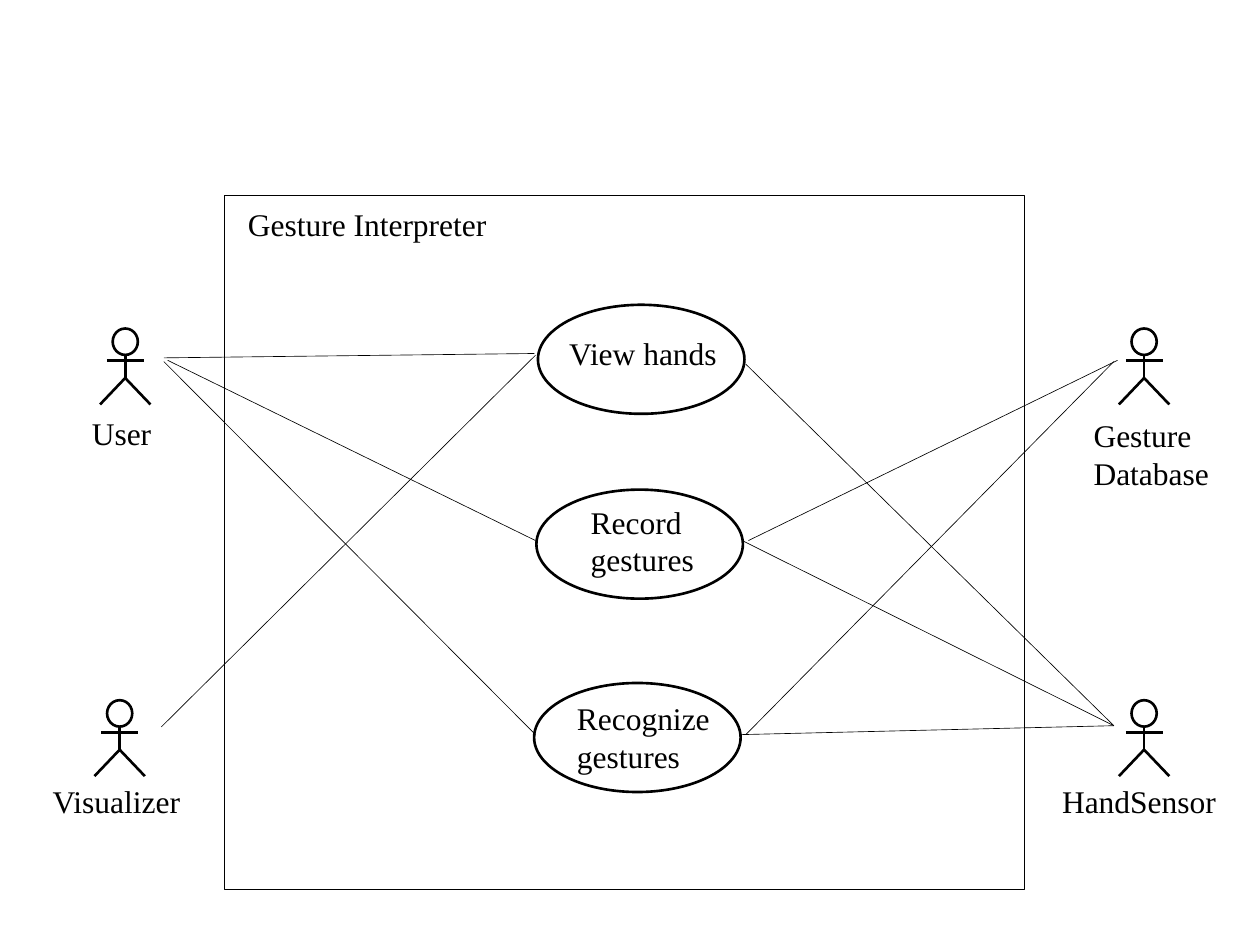
from lxml.etree import SubElement
from pptx import Presentation
from pptx.dml.color import RGBColor
from pptx.enum.shapes import MSO_CONNECTOR as Connector, MSO_SHAPE as Shape
from pptx.oxml.ns import qn
from pptx.util import Pt

BLACK = RGBColor(0x00, 0x00, 0x00)
FONT = "Times New Roman"
THICK, MEDIUM, THIN = 1.5, 0.75, 0.38

# Content: system boundary and its title
SYSTEM = (128.2, 111.6, 457.2, 396.7)
TITLE = ("Gesture Interpreter", 134.6, 113.8, 152.6, 28.8)

# Use cases: label, ellipse position, label position, label height
ELLIPSE_SIZE = (118, 62.3)
LABEL_WIDTH = 120.2
USE_CASES = [
    ("View hands", (307.4, 174.2), (318.2, 187.2), 28.8),
    ("Record gestures", (306.5, 279.8), (330.5, 283.7), 51.1),
    ("Recognize gestures", (305.2, 390.3), (322.6, 396), 51.1),
]

# Actors: label, head centre x, head top, label box
ACTORS = [
    ("User", 71.6, 187.7, (45.4, 233.3, 54.7, 28.8)),
    ("Visualizer", 68.4, 400.1, (23, 443.5, 97.2, 28.8)),
    ("Gesture Database", 653.8, 187.7, (617.8, 234, 87.8, 51.1)),
    ("HandSensor", 653.8, 400.1, (599.8, 443.5, 106.6, 28.8)),
]

# Associations: start and end of each line
ASSOCIATIONS = [
    ((93.6, 204.5), (305.3, 202)),      # User - View hands
    ((95.8, 205.9), (306, 308.9)),      # User - Record gestures
    ((93.6, 206.6), (306, 419.8)),      # User - Recognize gestures
    ((92.2, 415.4), (306, 203)),        # Visualizer - View hands
    ((427.7, 308.9), (638.6, 205.9)),   # Record gestures - Database
    ((426.2, 419.8), (636.5, 206.6)),   # Recognize gestures - Database
    ((426.2, 208.1), (636.5, 414.7)),   # View hands - sensor
    ((424.1, 308.9), (636.5, 414.7)),   # Record gestures - sensor
    ((423.4, 419.8), (636.5, 414.7)),   # Recognize gestures - sensor
]


def set_outline(shape, weight):
    shape.line.color.rgb = BLACK
    shape.line.width = Pt(weight)


def add_outline_shape(shapes, kind, left, top, width, height, weight):
    shape = shapes.add_shape(kind, Pt(left), Pt(top), Pt(width), Pt(height))
    shape.shadow.inherit = False
    shape.fill.background()
    set_outline(shape, weight)


def add_line(shapes, start, end, weight):
    points = [Pt(value) for value in (*start, *end)]
    line = shapes.add_connector(Connector.STRAIGHT, *points)
    set_outline(line, weight)
    SubElement(line._element.spPr, qn("a:effectLst"))


def add_text(shapes, text, left, top, width, height, size=18, color=BLACK):
    box = shapes.add_textbox(Pt(left), Pt(top), Pt(width), Pt(height))
    box.text_frame.word_wrap = True
    run = box.text_frame.paragraphs[0].add_run()
    run.text = text
    run.font.name, run.font.size = FONT, Pt(size)
    run.font.color.rgb = color


def add_actor(shapes, center, top):
    """Stick figure: legs, head, body and arms in one group."""
    figure = shapes.add_group_shape().shapes
    neck, arms, hip, feet = (top + step for step in (14.8, 18.3, 28.3, 43.4))
    builder = figure.build_freeform(Pt(center - 14.4), Pt(feet))
    builder.add_line_segments(
        [(Pt(center), Pt(hip)), (Pt(center + 14.4), Pt(feet))], close=False)
    legs = builder.convert_to_shape()
    legs.shadow.inherit = False
    legs.fill.background()
    set_outline(legs, THICK)
    add_outline_shape(figure, Shape.OVAL, center - 7.2, top, 14.4, 15.1, THICK)
    add_line(figure, (center, neck), (center, hip), THICK)
    add_line(figure, (center - 10.5, arms), (center + 10.5, arms), THICK)


def main():
    presentation = Presentation()
    presentation.slide_width, presentation.slide_height = Pt(720), Pt(540)
    slide = presentation.slides.add_slide(presentation.slide_layouts[6])
    shapes = slide.shapes

    # System boundary
    add_outline_shape(shapes, Shape.RECTANGLE, *SYSTEM, MEDIUM)
    add_text(shapes, *TITLE)

    # Associations
    for start, end in ASSOCIATIONS:
        add_line(shapes, start, end, THIN)

    # Use cases
    for label, ellipse, label_place, label_height in USE_CASES:
        add_outline_shape(shapes, Shape.OVAL, *ellipse, *ELLIPSE_SIZE, THICK)
        add_text(shapes, label, *label_place, LABEL_WIDTH, label_height)

    # Actors
    for label, center, top, label_box in ACTORS:
        add_actor(shapes, center, top)
        add_text(shapes, label, *label_box)

    presentation.save("out.pptx")


if __name__ == "__main__":
    main()
